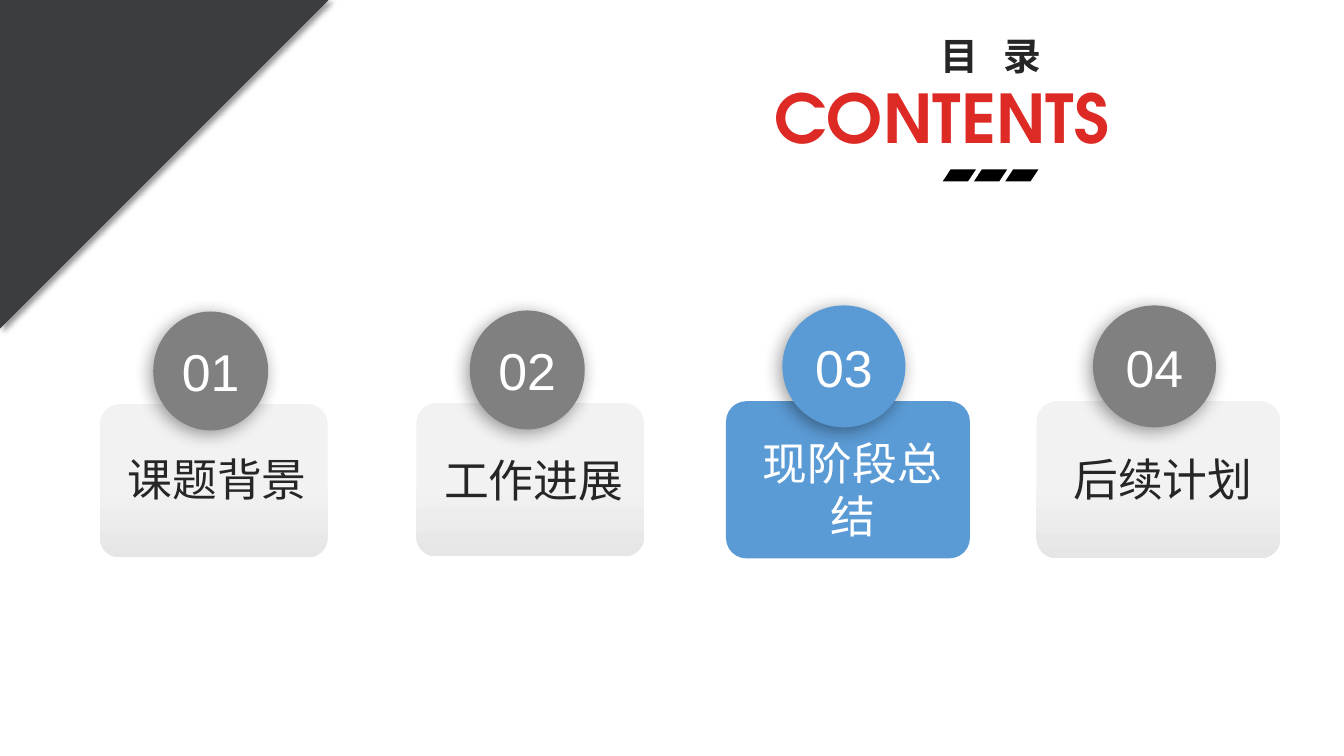
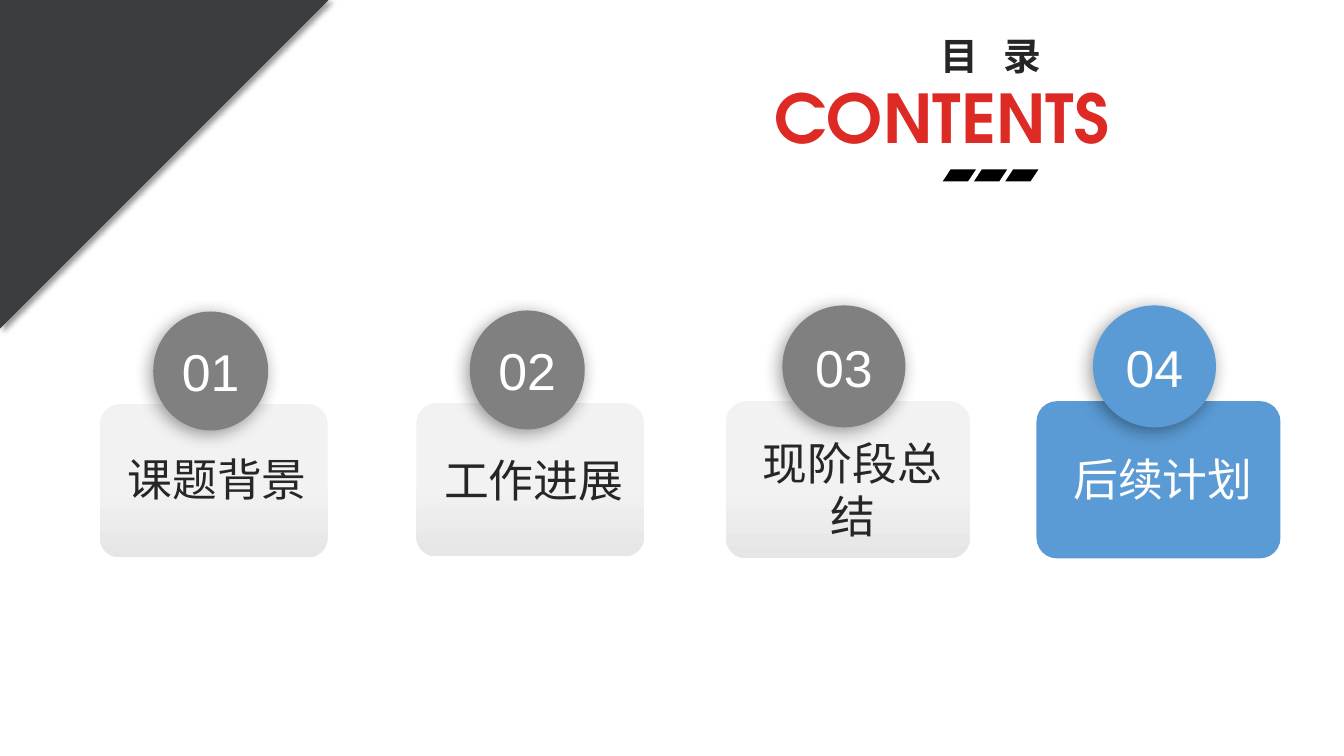
from copy import deepcopy
from dataclasses import dataclass

from lxml import etree
from pptx import Presentation
from pptx.dml.color import RGBColor
from pptx.enum import shapes, text
from pptx.oxml import ns
from pptx.util import Pt

PX = 9144  # EMU per px, 100 px to the inch
SHAPE = shapes.MSO_SHAPE
ALIGN = text.PP_ALIGN
ANCHOR = text.MSO_ANCHOR


@dataclass(frozen=True)
class Theme:
    white: str = "FFFFFF"
    black: str = "000000"
    ink: str = "262626"
    red: str = "DE2A25"
    corner: str = "3B3D40"
    badge: str = "808080"
    accent: str = "5B9BD5"
    card_top: str = "F2F2F2"
    card_bottom: str = "E7E6E6"
    heading_font: str = "TeX Gyre Adventor"
    body_font: str = "Arial"
    title_size: int = 48
    heading_size: int = 27
    label_size: int = 32
    number_size: int = 37


@dataclass(frozen=True)
class Box:
    left: int
    top: int
    width: int
    height: int

    def inner(self, left, top, width, height):
        """A box whose corner is measured from this box."""
        return Box(self.left + left, self.top + top, width, height)

    def emu(self):
        return [length * PX for length in (self.left, self.top, self.width, self.height)]


@dataclass(frozen=True)
class CardSize:
    width: int
    height: int
    badge: tuple  # left, top, width, height from the card corner
    label_left: int
    label_width: int


@dataclass(frozen=True)
class Card:
    label: str
    left: int
    top: int
    size: CardSize
    label_top: int
    label_height: int = 64


THEME = Theme()
SMALL = CardSize(226, 152, (53, -92, 114, 118), 12, 209)
LARGE = CardSize(242, 156, (56, -95, 122, 121), 9, 233)
CARDS = [
    Card("课题背景", 99, 401, SMALL, 42),
    Card("工作进展", 413, 400, SMALL, 44),
    Card("现阶段总结", 720, 398, LARGE, 29, 121),
    Card("后续计划", 1028, 398, LARGE, 45),
]


# Shared drawing helpers
def add_plain_shape(parent, kind, box, color=None, adjustment=None):
    shape = parent.add_shape(kind, *box.emu())
    shape.shadow.inherit = False
    shape.line.fill.background()
    if color:
        shape.fill.solid()
        shape.fill.fore_color.rgb = RGBColor.from_string(color)
    if adjustment is not None:
        shape.adjustments[0] = adjustment
    return shape


def add_shadow(shape, blur, distance, angle):
    effects = shape._element.spPr.find(ns.qn("a:effectLst"))
    shadow = etree.SubElement(
        effects, ns.qn("a:outerShdw"), blurRad=str(Pt(blur)), dist=str(Pt(distance)),
        dir=str(angle * 60000), algn="ctr", rotWithShape="0")
    color = etree.SubElement(shadow, ns.qn("a:srgbClr"), val=THEME.black)
    etree.SubElement(color, ns.qn("a:alpha"), val="40000")


def fill_card_gradient(shape):
    shape.fill.gradient()
    shape.fill.gradient_angle = 270
    first, last = shape.fill.gradient_stops
    first.color.rgb = RGBColor.from_string(THEME.card_top)
    first.position = 0
    last.color.rgb = RGBColor.from_string(THEME.card_bottom)
    last.position = 1
    # The top colour holds until just past the middle
    stop_list = shape._element.spPr.find(".//" + ns.qn("a:gsLst"))
    middle = deepcopy(stop_list[0])
    middle.set("pos", "53000")
    stop_list.insert(1, middle)


def write_text(shape, words, font, size, color, bold=False,
               align=ALIGN.CENTER, anchor=ANCHOR.TOP):
    frame = shape.text_frame
    frame.auto_size = text.MSO_AUTO_SIZE.NONE
    frame.word_wrap = True
    frame.vertical_anchor = anchor
    paragraph = frame.paragraphs[0]
    paragraph.add_run().text = words
    paragraph.alignment = align
    paragraph.font.name = font
    paragraph.font.size = Pt(size)
    paragraph.font.bold = bold
    paragraph.font.color.rgb = RGBColor.from_string(color)
    return paragraph


# Regions of a contents slide
def add_corner(slide, box):
    triangle = add_plain_shape(slide.shapes, SHAPE.RIGHT_TRIANGLE, box, THEME.corner)
    triangle._element.spPr.find(ns.qn("a:xfrm")).set("flipV", "1")
    add_shadow(triangle, blur=4, distance=3, angle=45)


def add_header(slide, box):
    title = slide.shapes.title
    title.left, title.top, title.width, title.height = box.inner(0, 43, 448, 94).emu()
    write_text(title, "CONTENTS", THEME.heading_font, THEME.title_size, THEME.red,
               bold=True, align=ALIGN.JUSTIFY)

    heading = slide.shapes.add_textbox(*box.inner(82, 0, 285, 56).emu())
    paragraph = write_text(heading, "目 ", THEME.heading_font, THEME.heading_size,
                           THEME.ink, bold=True)
    # Wide tracking opens the gap between the two characters
    paragraph.runs[0]._r.get_or_add_rPr().set("spc", "600")
    paragraph.add_run().text = "录"

    bars = slide.shapes.add_group_shape().shapes
    for index in range(3):
        add_plain_shape(bars, SHAPE.PARALLELOGRAM,
                        box.inner(177 + 31 * index, 140, 33, 12), THEME.black, 0.66)


def add_card(slide, number, card, active):
    size = card.size
    box = Box(card.left, card.top, size.width, size.height)
    parts = slide.shapes.add_group_shape().shapes

    panel = add_plain_shape(parts, SHAPE.ROUNDED_RECTANGLE, box,
                            THEME.accent if active else None, 0.13)
    if not active:
        fill_card_gradient(panel)

    badge = add_plain_shape(parts, SHAPE.OVAL, box.inner(*size.badge),
                            THEME.accent if active else THEME.badge)
    add_shadow(badge, blur=13, distance=3, angle=135)
    frame = badge.text_frame
    frame.margin_left = frame.margin_right = frame.margin_top = frame.margin_bottom = 0
    write_text(badge, f"{number:02d}", THEME.body_font, THEME.number_size, THEME.white,
               anchor=ANCHOR.MIDDLE)

    label = parts.add_textbox(*box.inner(
        size.label_left, card.label_top, size.label_width, card.label_height).emu())
    write_text(label, card.label, THEME.body_font, THEME.label_size,
               THEME.white if active else THEME.ink)


def add_contents_slide(presentation, active_number):
    title_only = presentation.slide_layouts[5]
    slide = presentation.slides.add_slide(title_only)
    add_header(slide, Box(758, 28, 448, 152))
    add_corner(slide, Box(0, -1, 327, 327))
    for number, card in enumerate(CARDS, start=1):
        add_card(slide, number, card, number == active_number)


def main():
    presentation = Presentation()
    presentation.slide_width = 1333 * PX
    presentation.slide_height = 750 * PX
    for active_number in (3, 4):
        add_contents_slide(presentation, active_number)
    presentation.save("out.pptx")


if __name__ == "__main__":
    main()
